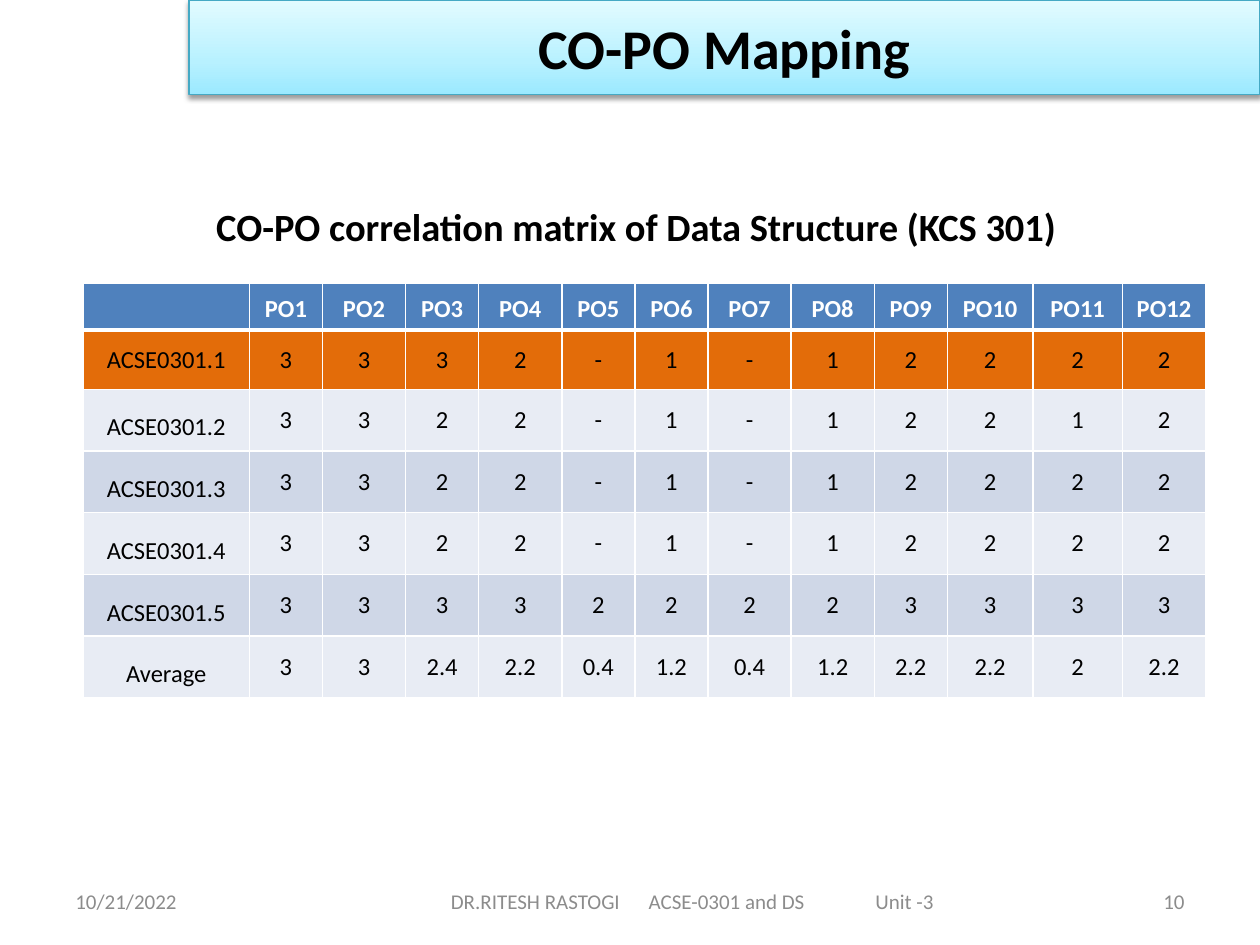
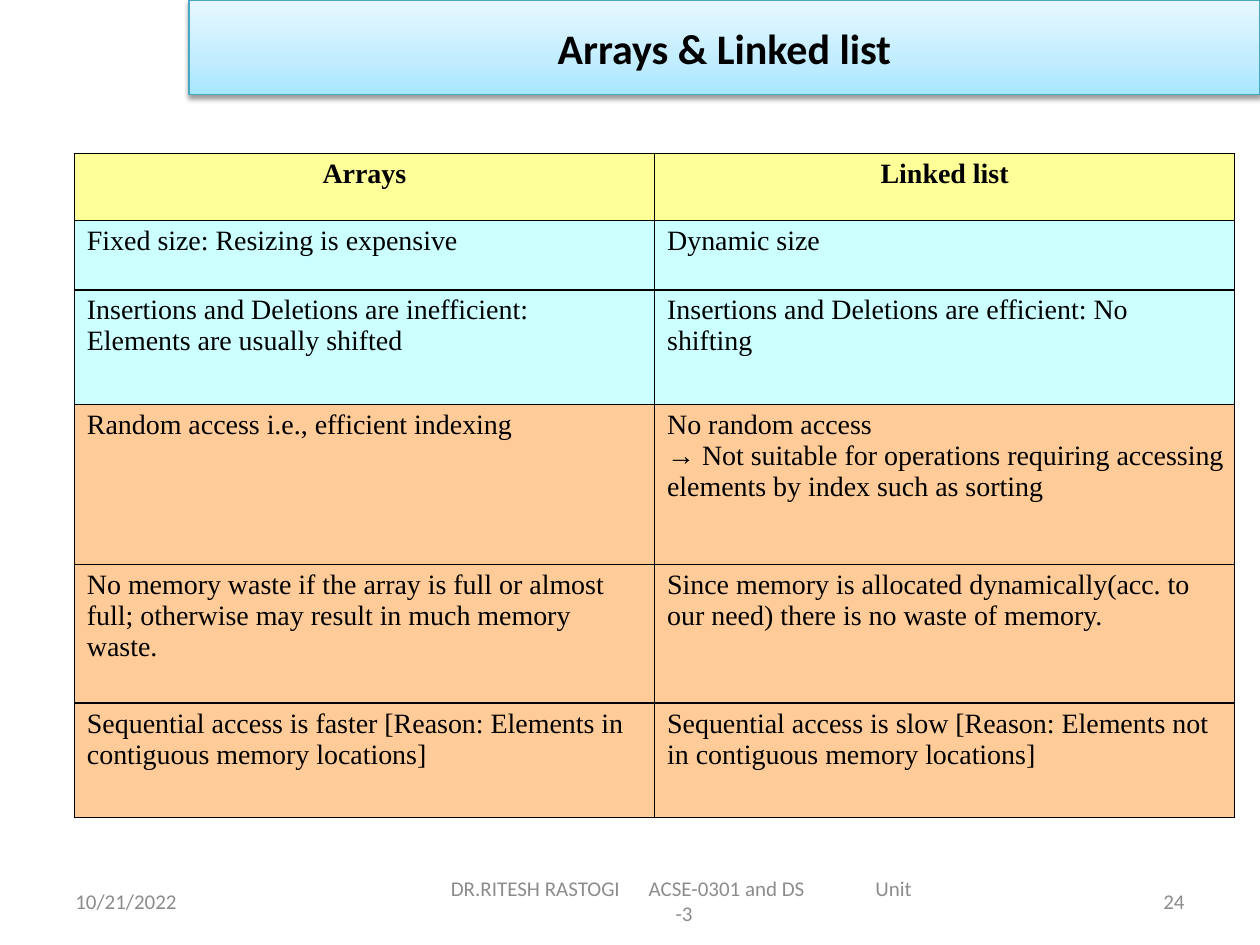
from copy import deepcopy

from lxml.etree import SubElement
from pptx import Presentation
from pptx.dml.color import RGBColor
from pptx.enum.text import MSO_ANCHOR, MSO_AUTO_SIZE, PP_ALIGN
from pptx.oxml import parse_xml
from pptx.oxml.ns import nsdecls, qn
from pptx.util import Inches, Pt

BLACK = RGBColor(0x00, 0x00, 0x00)
WHITE = RGBColor(0xFF, 0xFF, 0xFF)
GRAY = RGBColor(0x8C, 0x8C, 0x8C)
BAND_LINE = RGBColor(0x45, 0xA9, 0xC4)
HEADER_BLUE = RGBColor(0x4F, 0x81, 0xBD)
ORANGE = RGBColor(0xE3, 0x6C, 0x09)
PALE = RGBColor(0xE8, 0xEC, 0xF4)
PALE_BLUE = RGBColor(0xCF, 0xD7, 0xE7)
YELLOW = RGBColor(0xFF, 0xFF, 0x99)
CYAN = RGBColor(0xCC, 0xFF, 0xFF)
PEACH = RGBColor(0xFF, 0xCC, 0x99)
AQUA_BAND = (RGBColor(0x9B, 0xE9, 0xFF), RGBColor(0xB8, 0xF1, 0xFF), RGBColor(0xE2, 0xFB, 0xFF))
SKY_BAND = (RGBColor(0xA7, 0xE6, 0xFF), RGBColor(0xC1, 0xED, 0xFF), RGBColor(0xE7, 0xF8, 0xFF))

SANS = "Calibri"
SERIF = "Times New Roman"
ARROW = "→"
ARROW_FONT = "Arial"
CELL_MARGINS = (0.1, 0.05, 0.1, 0.05)
LABEL_MARGINS = (0.07, 0, 0.07, 0)

OUTCOMES = [
    ("ACSE0301.1", "3 3 3 2 - 1 - 1 2 2 2 2"),
    ("ACSE0301.2", "3 3 2 2 - 1 - 1 2 2 1 2"),
    ("ACSE0301.3", "3 3 2 2 - 1 - 1 2 2 2 2"),
    ("ACSE0301.4", "3 3 2 2 - 1 - 1 2 2 2 2"),
    ("ACSE0301.5", "3 3 3 3 2 2 2 2 3 3 3 3"),
    ("Average", "3 3 2.4 2.2 0.4 1.2 0.4 1.2 2.2 2.2 2 2.2"),
]
COMPARISON = [
    (0.53, YELLOW, "Arrays", "Linked list"),
    (0.55, CYAN, "Fixed size: Resizing is expensive", "Dynamic size"),
    (0.91, CYAN, "Insertions and Deletions are inefficient:\nElements are usually shifted",
     "Insertions and Deletions are efficient: No\nshifting"),
    (1.27, PEACH, "Random access i.e., efficient indexing",
     "No random access\n→ Not suitable for operations requiring accessing elements "
     "by index such as sorting"),
    (1.1, PEACH, "No memory waste if the array is full or almost full; "
     "otherwise may result in much memory waste.",
     "Since memory is allocated dynamically(acc. to our need) there is no waste of memory."),
    (0.91, PEACH, "Sequential access is faster [Reason: Elements in contiguous memory locations]",
     "Sequential access is slow [Reason: Elements not in contiguous memory locations]"),
]


def write(frame, text, size=12, font=SANS, color=BLACK, bold=False,
          align=PP_ALIGN.LEFT, spacing=None):
    for index, line in enumerate(text.split("\n")):
        para = frame.add_paragraph() if index else frame.paragraphs[0]
        para.alignment = align
        para.line_spacing = spacing
        for piece in filter(None, line.partition(ARROW)):
            span = para.add_run()
            span.text = piece
            span.font.name = ARROW_FONT if piece == ARROW else font
            span.font.size = Pt(size)
            span.font.bold = bold
            span.font.color.rgb = color


class Deck:
    def __init__(self):
        self.deck = Presentation()
        self.deck.slide_width = Inches(10)
        self.deck.slide_height = Inches(7.5)
        self.page = None

    def add_page(self, title, size, band_colors):
        self.page = self.deck.slides.add_slide(self.deck.slide_layouts[5])
        band = self.page.shapes.title
        band.left, band.top = Inches(1.5), Inches(0)
        band.width, band.height = Inches(8.5), Inches(0.75)
        band.fill.gradient()
        band.fill.gradient_angle = 90
        properties = band._element.spPr
        stops = properties.find(".//" + qn("a:gsLst"))
        stops.append(deepcopy(stops[-1]))
        for stop, color, position in zip(band.fill.gradient_stops, band_colors, (0, 0.35, 1)):
            stop.color.rgb = color
            stop.position = position
        band.line.color.rgb = BAND_LINE
        band.line.width = Pt(0.75)
        properties.append(parse_xml(
            f'<a:effectLst {nsdecls("a")}>'
            f'<a:outerShdw blurRad="{Pt(3.1)}" dist="{Pt(1.6)}" dir="5400000" rotWithShape="0">'
            '<a:srgbClr val="000000"><a:alpha val="38000"/></a:srgbClr>'
            '</a:outerShdw></a:effectLst>'))
        frame = band.text_frame
        frame.auto_size = MSO_AUTO_SIZE.NONE
        frame.vertical_anchor = MSO_ANCHOR.MIDDLE
        write(frame, title, size=size, bold=True, align=PP_ALIGN.CENTER)

    def text(self, text, left, top, width, height, anchor=MSO_ANCHOR.TOP, **style):
        box = self.page.shapes.add_textbox(
            Inches(left), Inches(top), Inches(width), Inches(height))
        frame = box.text_frame
        frame.word_wrap = True
        frame.vertical_anchor = anchor
        write(frame, text, **style)
        return frame

    def footer(self, course, width, number):
        line = {"top": 6.95, "height": 0.4, "anchor": MSO_ANCHOR.MIDDLE, "color": GRAY}
        self.text("10/21/2022", left=0.5, width=2.33, **line)
        frame = self.text(course, left=3.48, width=width, **line)
        tabs = SubElement(frame.paragraphs[0]._p.get_or_add_pPr(), qn("a:tabLst"))
        for position in (1.57, 3.37):
            SubElement(tabs, qn("a:tab"), pos=str(Inches(position)), algn="l")
        for para in frame.paragraphs[1:]:
            para.alignment = PP_ALIGN.CENTER
        self.text(str(number), left=7.17, width=2.33, align=PP_ALIGN.RIGHT, **line)

    def table(self, left, top, widths, heights):
        frame = self.page.shapes.add_table(
            len(heights), len(widths), Inches(left), Inches(top),
            Inches(sum(widths)), Inches(sum(heights)))
        table = frame.table
        table.first_row = table.horz_banding = False
        for column, width in zip(table.columns, widths):
            column.width = Inches(width)
        for row, height in zip(table.rows, heights):
            row.height = Inches(height)
        return table

    def cell(self, cell, text, fill, margins, border, top=1, bottom=1,
             anchor=MSO_ANCHOR.TOP, **style):
        cell.fill.solid()
        cell.fill.fore_color.rgb = fill
        cell.vertical_anchor = anchor
        (cell.margin_left, cell.margin_top,
         cell.margin_right, cell.margin_bottom) = map(Inches, margins)
        properties = cell._tc.get_or_add_tcPr()
        edges = {"lnL": 1, "lnR": 1, "lnT": top, "lnB": bottom}
        for index, (edge, width) in enumerate(edges.items()):
            properties.insert(index, parse_xml(
                f'<a:{edge} {nsdecls("a")} w="{Pt(width)}"><a:solidFill>'
                f'<a:srgbClr val="{border}"/></a:solidFill></a:{edge}>'))
        write(cell.text_frame, text, **style)

    def mapping_table(self):
        widths = [1.32, 0.58, 0.66, 0.58, 0.66, 0.58, 0.58, 0.66, 0.66, 0.58, 0.68, 0.71, 0.66]
        table = self.table(0.66, 2.25, widths, [0.37, 0.47] + [0.49] * 5)
        style = {"border": WHITE, "anchor": MSO_ANCHOR.MIDDLE,
                 "size": 14, "align": PP_ALIGN.CENTER}
        headings = [""] + [f"PO{number}" for number in range(1, 13)]
        for column, heading in enumerate(headings):
            self.cell(table.cell(0, column), heading, HEADER_BLUE, LABEL_MARGINS, bottom=3,
                      color=WHITE, bold=True, spacing=1.15, **style)
        fills = [ORANGE] + [PALE, PALE_BLUE] * 2 + [PALE]
        for row, ((label, values), fill) in enumerate(zip(OUTCOMES, fills), start=1):
            top = 3 if row == 1 else 1
            self.cell(table.cell(row, 0), label, fill, LABEL_MARGINS, top=top,
                      spacing=None if row == 1 else 1.5, **style)
            for column, value in enumerate(values.split(), start=1):
                self.cell(table.cell(row, column), value, fill, CELL_MARGINS, top=top, **style)

    def comparison_table(self):
        table = self.table(0.59, 1.22, [9.21 / 2] * 2, [row[0] for row in COMPARISON])
        for row, (_, fill, *texts) in enumerate(COMPARISON):
            heading = row == 0
            margins = (0, 0.04, 0, 0) if heading else (0.1, 0.04, 0.05, 0)
            for column, text in enumerate(texts):
                self.cell(table.cell(row, column), text, fill, margins, BLACK,
                          size=16, font=SERIF, bold=heading,
                          align=PP_ALIGN.CENTER if heading else PP_ALIGN.LEFT)

    def save(self):
        self.deck.save("out.pptx")


def main():
    deck = Deck()
    deck.add_page("CO-PO Mapping", 32, AQUA_BAND)
    deck.text("CO-PO correlation matrix of Data Structure (KCS 301)", 0.55, 1.56, 9, 0.47,
              size=22, bold=True, align=PP_ALIGN.CENTER)
    deck.mapping_table()
    deck.footer("DR.RITESH RASTOGI\tACSE-0301 and DS\tUnit -3", 4.2, 10)

    deck.add_page("Arrays & Linked list", 24, SKY_BAND)
    deck.comparison_table()
    deck.footer("DR.RITESH RASTOGI\tACSE-0301 and DS\tUnit\n-3", 3.9, 24)
    deck.save()


if __name__ == "__main__":
    main()
